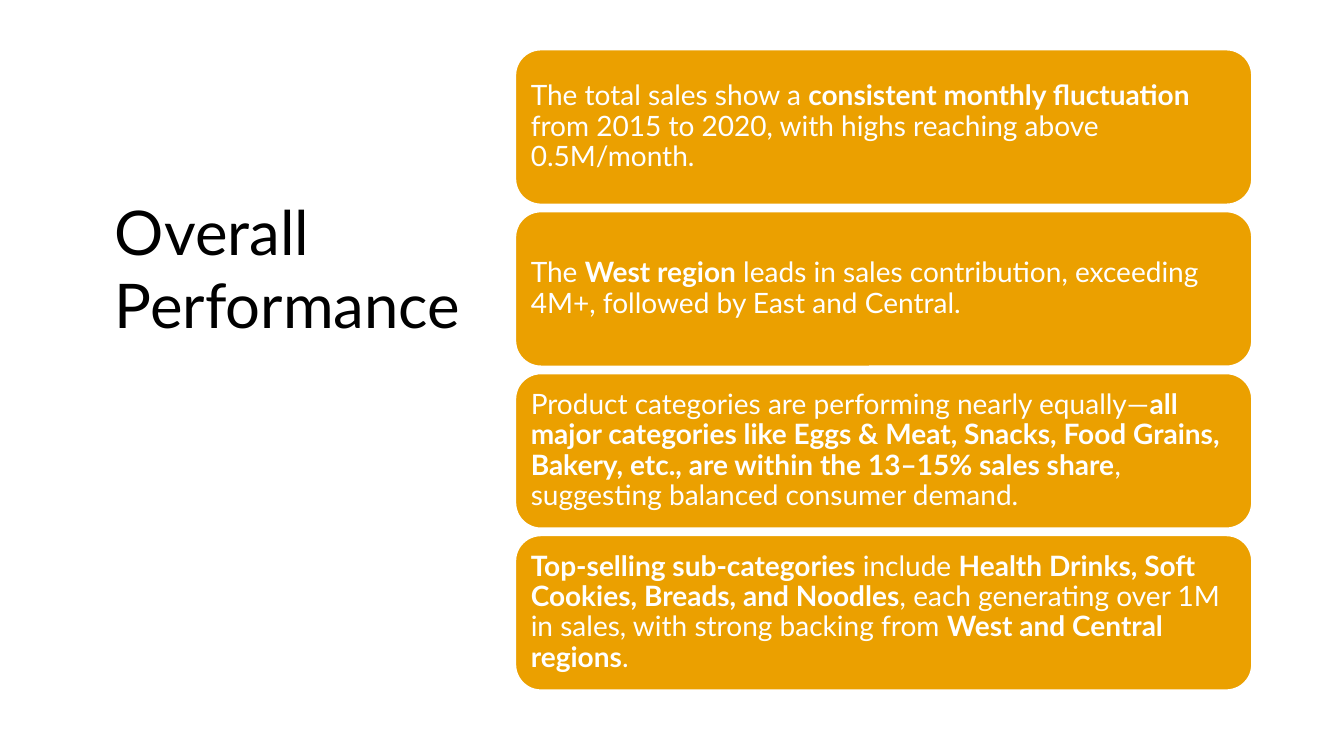
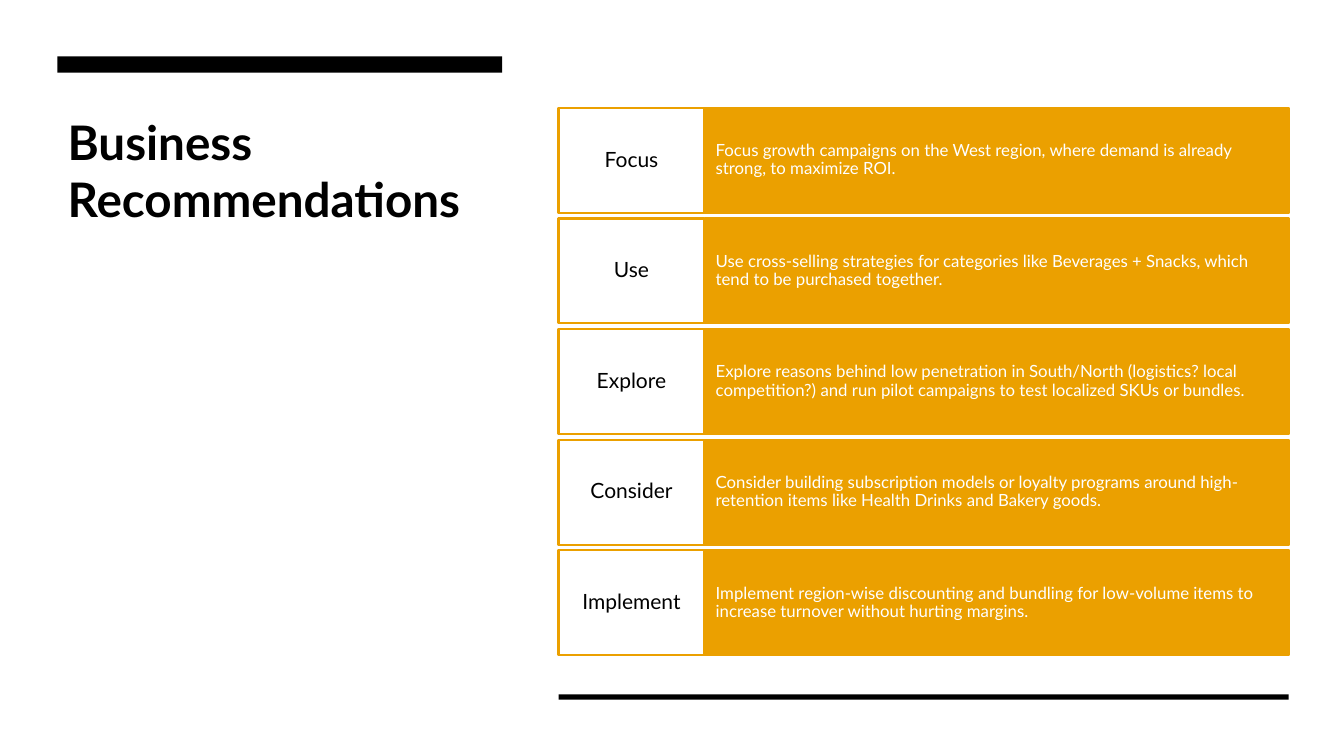
from pptx import Presentation
from pptx.dml.color import RGBColor
from pptx.enum.shapes import MSO_SHAPE
from pptx.enum.text import MSO_ANCHOR, MSO_AUTO_SIZE, PP_ALIGN
from pptx.util import Inches, Pt

RECT, ROUND = MSO_SHAPE.RECTANGLE, MSO_SHAPE.ROUNDED_RECTANGLE
TOP, MIDDLE = MSO_ANCHOR.TOP, MSO_ANCHOR.MIDDLE
LEFT, CENTER = PP_ALIGN.LEFT, PP_ALIGN.CENTER
NO_FIT = MSO_AUTO_SIZE.NONE

AMBER = RGBColor(0xEB, 0xA0, 0x00)
BLACK = RGBColor(0x00, 0x00, 0x00)
WHITE = RGBColor(0xFF, 0xFF, 0xFF)
FONT = "Lato"
TITLE_ONLY = 5

# Asterisks enclose bold words
FACTS = [
    "The total sales show a *consistent monthly fluctuation* from 2015 to 2020, "
    "with highs reaching above 0.5M/month.",
    "The *West region* leads in sales contribution, exceeding 4M+, "
    "followed by East and Central.",
    "Product categories are performing nearly equally—*all major categories like "
    "Eggs & Meat, Snacks, Food Grains, Bakery, etc., are within the 13–15% sales "
    "share*, suggesting balanced consumer demand.",
    "*Top-selling sub-categories* include *Health Drinks, Soft Cookies, Breads, "
    "and Noodles*, each generating over 1M in sales, with strong backing from "
    "*West and Central regions*.",
]
ADVICE = [
    ("Focus", "Focus growth campaigns on the West region, where demand is "
              "already strong, to maximize ROI."),
    ("Use", "Use cross-selling strategies for categories like Beverages + "
            "Snacks, which tend to be purchased together."),
    ("Explore", "Explore reasons behind low penetration in South/North "
                "(logistics? local competition?) and run pilot campaigns to "
                "test localized SKUs or bundles."),
    ("Consider", "Consider building subscription models or loyalty programs "
                 "around high-retention items like Health Drinks and Bakery "
                 "goods."),
    ("Implement", "Implement region-wise discounting and bundling for "
                  "low-volume items to increase turnover without hurting "
                  "margins."),
]


def stack(top, total, count, gap):
    """Yield the top and height of equal rows that fill the total."""
    high = (total - gap * (count - 1)) / count
    for row in range(count):
        yield top + row * (high + gap), high


class Deck:
    """Holds the style and the current slide; lengths are percent of the slide."""

    def __init__(self):
        self.prs = Presentation()
        self.prs.slide_width = Inches(13.33)
        self.prs.slide_height = Inches(7.5)
        self.slide = None

    def place(self, left, top, wide, high):
        col, row = self.prs.slide_width / 100, self.prs.slide_height / 100
        return int(left * col), int(top * row), int(wide * col), int(high * row)

    def style(self, run, size, color, bold=False):
        font = run.font
        font.name, font.size, font.bold = FONT, Pt(size), bold
        font.color.rgb = color

    def page(self, title, area, size, bold=False):
        self.slide = self.prs.slides.add_slide(self.prs.slide_layouts[TITLE_ONLY])
        head = self.slide.shapes.title
        head.left, head.top, head.width, head.height = self.place(*area)
        frame = head.text_frame
        frame.text = title
        frame.word_wrap, frame.auto_size = True, NO_FIT
        frame.vertical_anchor = TOP
        para = frame.paragraphs[0]
        para.alignment = LEFT
        self.style(para.runs[0], size, BLACK, bold)

    def box(self, area, fill, line=None, kind=RECT):
        shape = self.slide.shapes.add_shape(kind, *self.place(*area))
        shape.shadow.inherit = False
        shape.fill.solid()
        shape.fill.fore_color.rgb = fill
        if line is None:
            shape.line.fill.background()
        else:
            shape.line.color.rgb = line
            shape.line.width = Pt(1.5)
        return shape

    def label(self, shape, text, size, color, pad, align=LEFT):
        frame = shape.text_frame
        frame.word_wrap, frame.vertical_anchor = True, MIDDLE
        frame.margin_left = frame.margin_right = Inches(pad[0])
        frame.margin_top = frame.margin_bottom = Inches(pad[1])
        para = frame.paragraphs[0]
        para.alignment, para.line_spacing = align, 0.9
        for part, words in enumerate(text.split("*")):
            if words:
                run = para.add_run()
                run.text = words
                self.style(run, size, color, bold=part % 2 == 1)


def main():
    deck = Deck()

    # Overall performance: a stack of rounded cards
    deck.page("Overall Performance", (7.8, 24.93, 36, 43.47), 44)
    rows = stack(6.53, 84.8, len(FACTS), 0.88)
    for fact, (top, high) in zip(FACTS, rows):
        card = deck.box((38.33, top, 54.84, high), AMBER, WHITE, ROUND)
        deck.label(card, fact, 20, WHITE, (0.08, 0.08))

    # Business recommendations: title under a band
    left, wide = 41.56, 54.32
    deck.page("Business Recommendations", (4.28, 14.27, 33.08, 49.07), 34, True)
    deck.box((4.28, 7.47, 33.08, 2.13), BLACK)
    deck.box((left, 91.87, wide, 0.67), BLACK)

    # Rows of a verb and its advice
    side = wide / 5
    rows = stack(14.27, 72.4, len(ADVICE), 0.77)
    for (verb, text), (top, high) in zip(ADVICE, rows):
        body = deck.box((left + side, top, wide - side, high), AMBER, AMBER)
        deck.label(body, text, 12, WHITE, (0.11, 0.26))
        cell = deck.box((left, top, side, high), WHITE, AMBER)
        deck.label(cell, verb, 15, BLACK, (0.08, 0.1), CENTER)

    deck.prs.save("out.pptx")


if __name__ == "__main__":
    main()
